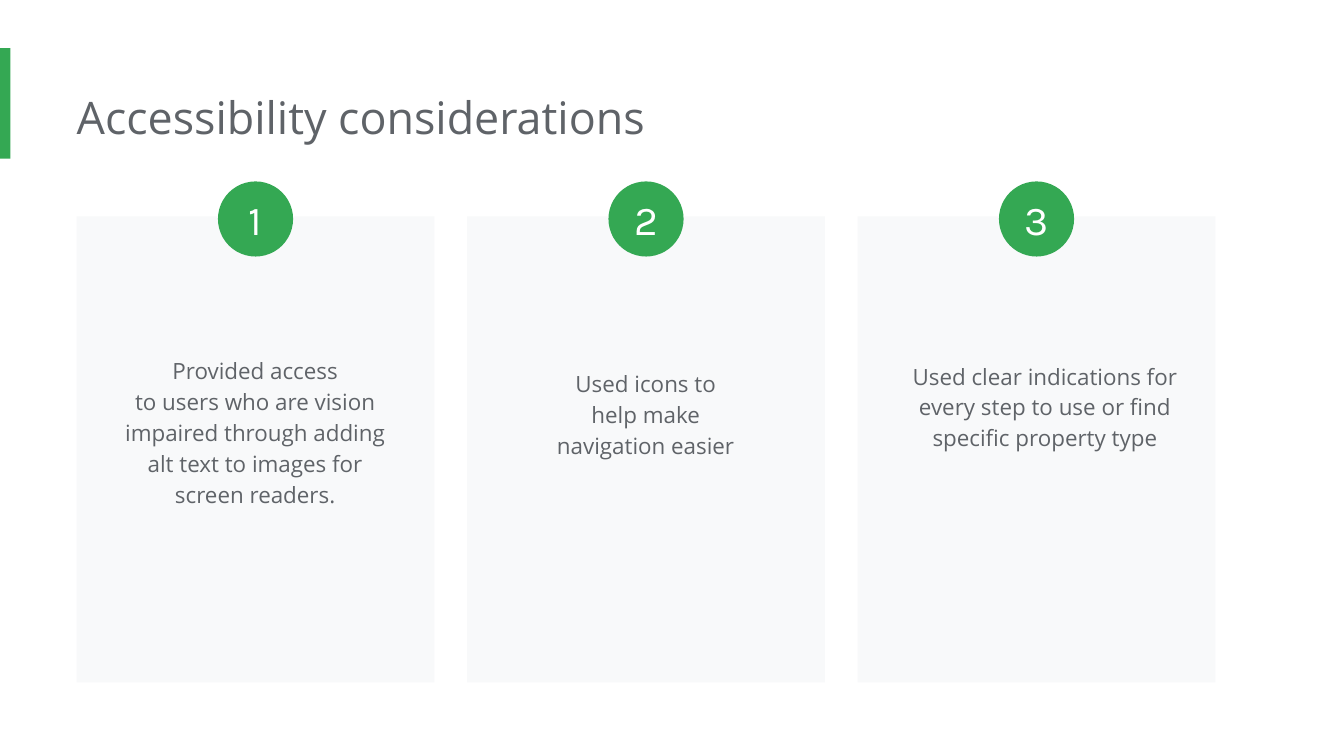
from pptx import Presentation
from pptx.dml.color import RGBColor
from pptx.enum.shapes import MSO_SHAPE
from pptx.enum.text import MSO_ANCHOR, MSO_AUTO_SIZE, PP_ALIGN
from pptx.util import Cm, Pt

RECTANGLE, OVAL = MSO_SHAPE.RECTANGLE, MSO_SHAPE.OVAL
TOP, MIDDLE = MSO_ANCHOR.TOP, MSO_ANCHOR.MIDDLE
LEFT, CENTER = PP_ALIGN.LEFT, PP_ALIGN.CENTER
NO_AUTOFIT = MSO_AUTO_SIZE.NONE

GREEN = RGBColor(0x34, 0xA8, 0x53)
GRAY = RGBColor(0x5F, 0x63, 0x68)
PALE = RGBColor(0xF8, 0xF9, 0xFA)
WHITE = RGBColor(0xFF, 0xFF, 0xFF)

TITLE = "Accessibility considerations"
CARDS = [
    {"lines": ["Provided access",
               "to users who are vision impaired through adding alt text to images for screen readers."],
     "top": 6.43, "width": 5.69, "height": 3.45},
    {"lines": ["Used icons to", "help make", "navigation easier"],
     "top": 6.68, "width": 5.69, "height": 2.26},
    {"lines": ["Used clear indications for every step to use or find specific property type"],
     "top": 6.53, "width": 6.02, "height": 2.26},
]

MARGIN = 1.45
CARD_TOP, CARD_WIDTH, CARD_HEIGHT, CARD_PITCH = 4.09, 6.76, 8.81, 7.38
BADGE_TOP, BADGE_SIZE = 3.43, 1.42
TEXT_INDENT = 0.53
INSET = 0.25


def add_block(slide, kind, left, top, width, height, color):
    shape = slide.shapes.add_shape(kind, Cm(left), Cm(top), Cm(width), Cm(height))
    shape.shadow.inherit = False
    shape.fill.solid()
    shape.fill.fore_color.rgb = color
    shape.line.fill.background()
    return shape


def write(shape, lines, font, size, color, alignment, anchor, insets, spacing=1.0):
    frame = shape.text_frame
    frame.word_wrap = True
    frame.auto_size = NO_AUTOFIT
    frame.vertical_anchor = anchor
    frame.margin_left, frame.margin_top, frame.margin_right, frame.margin_bottom = map(Cm, insets)
    for index, line in enumerate(lines):
        paragraph = frame.add_paragraph() if index else frame.paragraphs[0]
        paragraph.alignment = alignment
        paragraph.line_spacing = spacing
        paragraph.space_before = Pt(0)
        run = paragraph.add_run()
        run.text = line
        run.font.name = font
        run.font.size = Pt(size)
        run.font.color.rgb = color


def main():
    presentation = Presentation()
    presentation.slide_width, presentation.slide_height = Cm(25.4), Cm(14.29)
    slide = presentation.slides.add_slide(presentation.slide_layouts[5])

    add_block(slide, RECTANGLE, 0, 0.91, 0.2, 2.09, GREEN)

    title = slide.shapes.title
    title.left, title.top, title.width, title.height = Cm(MARGIN), Cm(1.45), Cm(19.46), Cm(1.55)
    write(title, [TITLE], "Open Sans", 24, GRAY, LEFT, TOP, (0, INSET, INSET, INSET))

    for index, card in enumerate(CARDS):
        left = MARGIN + index * CARD_PITCH
        add_block(slide, RECTANGLE, left, CARD_TOP, CARD_WIDTH, CARD_HEIGHT, PALE)
        body = slide.shapes.add_textbox(
            Cm(left + TEXT_INDENT), Cm(card["top"]), Cm(card["width"]), Cm(card["height"]))
        write(body, card["lines"], "Open Sans", 12, GRAY, CENTER, TOP, (INSET,) * 4, 1.15)
        badge_left = left + (CARD_WIDTH - BADGE_SIZE) / 2
        badge = add_block(slide, OVAL, badge_left, BADGE_TOP, BADGE_SIZE, BADGE_SIZE, GREEN)
        write(badge, [str(index + 1)], "Karla", 22, WHITE, CENTER, MIDDLE, (0,) * 4)

    presentation.save("out.pptx")


if __name__ == "__main__":
    main()
